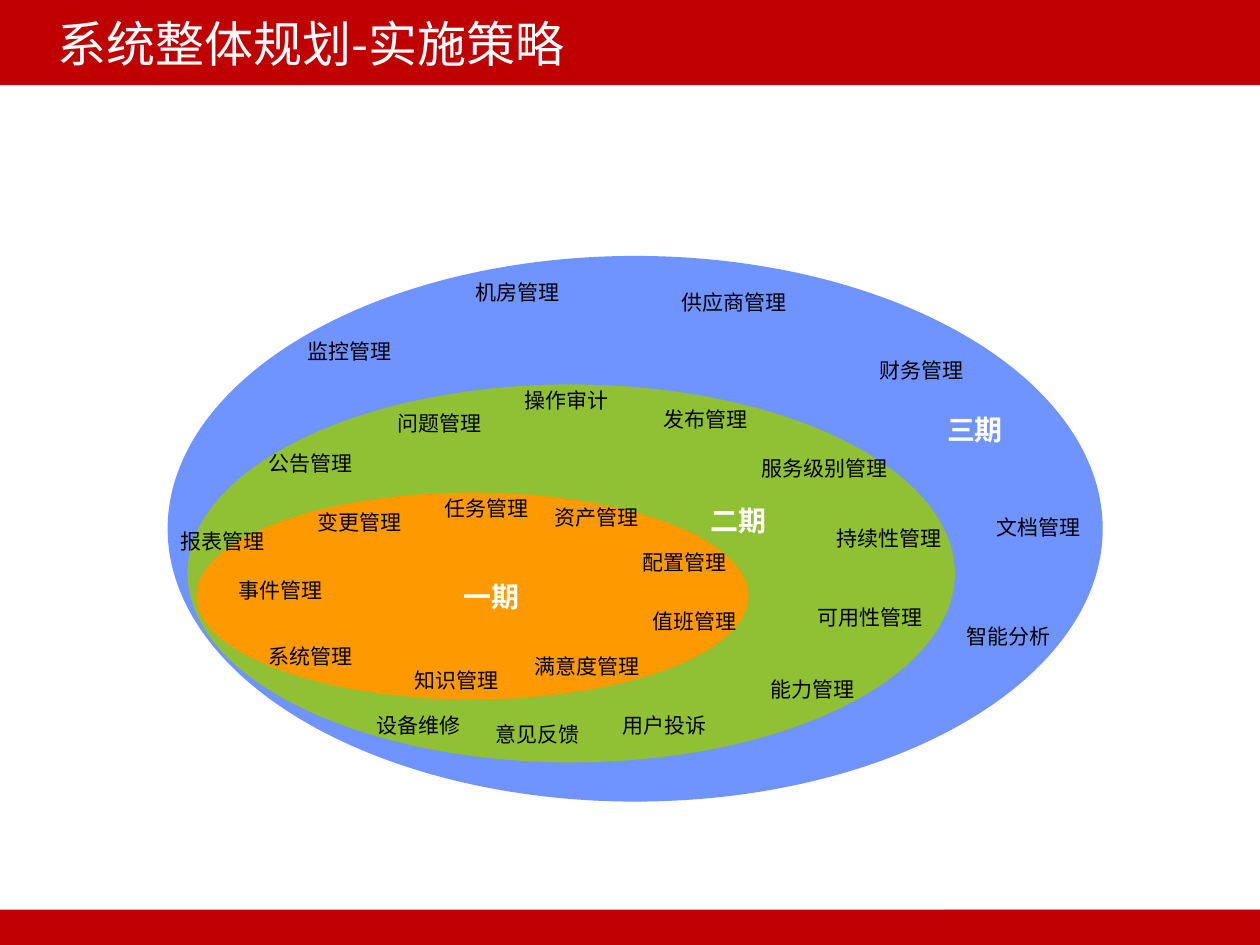
from dataclasses import dataclass

from lxml.etree import SubElement
from pptx import Presentation
from pptx.dml.color import RGBColor
from pptx.enum.shapes import MSO_SHAPE
from pptx.enum.text import MSO_ANCHOR, MSO_AUTO_SIZE, PP_ALIGN
from pptx.oxml.ns import qn
from pptx.util import Cm, Pt


@dataclass(frozen=True)
class Theme:
    font: str = "Noto Sans CJK SC"
    bar: str = "C00000"
    light: str = "FFFFFF"
    dark: str = "000000"
    phase_1: str = "FF9900"
    phase_2: str = "99CC00"
    phase_3: str = "3366FF"
    title_size: int = 28
    phase_size: int = 16
    label_size: int = 12


class SlideBuilder:
    def __init__(self, slide, theme):
        self.slide = slide
        self.theme = theme

    def style(self, p, size, color, bold=False, align=PP_ALIGN.CENTER):
        p.alignment = align
        p.font.size = Pt(size)
        p.font.bold = bold
        p.font.color.rgb = RGBColor.from_string(color)
        p.font.name = self.theme.font
        # East Asian glyphs take their typeface from a separate element
        latin = p.font._element.find(qn("a:latin"))
        ea = SubElement(latin.getparent(), qn("a:ea"), typeface=self.theme.font)
        latin.addnext(ea)

    def shape(self, kind, box, color, opacity=100, rotation=0):
        sp = self.slide.shapes.add_shape(kind, *map(Cm, box))
        sp.rotation = rotation
        sp.shadow.inherit = False
        sp.fill.solid()
        sp.fill.fore_color.rgb = RGBColor.from_string(color)
        sp.line.fill.background()
        if opacity < 100:
            clr = sp.element.spPr.find(qn("a:solidFill")).find(qn("a:srgbClr"))
            SubElement(clr, qn("a:alpha"), val=str(opacity * 1000))

    def title(self, text, box):
        sp = self.slide.shapes.title
        sp.left, sp.top, sp.width, sp.height = map(Cm, box)
        sp.element.getparent().append(sp.element)  # in front of the bars
        tf = sp.text_frame
        tf.text = text
        tf.auto_size = MSO_AUTO_SIZE.NONE
        tf.vertical_anchor = MSO_ANCHOR.MIDDLE
        self.style(tf.paragraphs[0], self.theme.title_size, self.theme.light,
                   align=PP_ALIGN.LEFT)

    def text(self, text, box, size, color, bold=False,
             anchor=MSO_ANCHOR.MIDDLE, wrap=False):
        tf = self.slide.shapes.add_textbox(*map(Cm, box)).text_frame
        tf.text = text
        tf.word_wrap = wrap
        tf.auto_size = MSO_AUTO_SIZE.SHAPE_TO_FIT_TEXT
        tf.vertical_anchor = anchor
        p = tf.paragraphs[0]
        p.line_spacing = 0.9
        self.style(p, size, color, bold)

    def label(self, text, left, top):
        """Add a module name in a box as wide as its characters plus insets."""
        width = 0.42 * len(text) + 0.53
        self.text(text, (left, top, width, 0.71),
                  self.theme.label_size, self.theme.dark)

    def phase(self, text, left, top):
        self.text(text, (left, top, 2.79, 0.89), self.theme.phase_size,
                  self.theme.light, True, MSO_ANCHOR.TOP, True)


PHASES = [("一期", 8.51, 11.63), ("二期", 13.49, 10.11), ("三期", 18.26, 8.26)]

MODULES = [
    # Phase 1
    ("事件管理", 4.55, 11.58), ("变更管理", 6.15, 10.21),
    ("任务管理", 8.71, 9.93), ("资产管理", 10.92, 10.11),
    ("配置管理", 12.7, 11), ("值班管理", 12.9, 12.19),
    ("满意度管理", 10.52, 13.11), ("知识管理", 8.1, 13.39),
    ("系统管理", 5.16, 12.9),
    # Phase 2
    ("报表管理", 3.38, 10.59), ("公告管理", 5.16, 9.02),
    ("问题管理", 7.75, 8.2), ("操作审计", 10.31, 7.75),
    ("发布管理", 13.11, 8.13), ("服务级别管理", 15.09, 9.12),
    ("持续性管理", 16.61, 10.52), ("可用性管理", 16.23, 12.12),
    ("能力管理", 15.27, 13.56), ("用户投诉", 12.29, 14.3),
    ("意见反馈", 9.73, 14.48), ("设备维修", 7.34, 14.3),
    # Phase 3
    ("监控管理", 5.94, 6.76), ("机房管理", 9.32, 5.56),
    ("供应商管理", 13.49, 5.77), ("财务管理", 17.48, 7.14),
    ("文档管理", 19.84, 10.31), ("智能分析", 19.23, 12.5),
]


def main():
    prs = Presentation()
    prs.slide_width, prs.slide_height = Cm(25.4), Cm(19.05)
    theme = Theme()
    s = SlideBuilder(prs.slides.add_slide(prs.slide_layouts[5]), theme)

    s.shape(MSO_SHAPE.RECTANGLE, (0, 0, 25.4, 1.72), theme.bar)
    s.shape(MSO_SHAPE.RECTANGLE, (0, 18.34, 25.4, 0.71), theme.bar)
    s.shape(MSO_SHAPE.PENTAGON, (18.69, 18.34, 6.71, 0.71), theme.bar,
            rotation=180)
    s.title("系统整体规划-实施策略", (0.91, 0, 23.6, 1.72))

    s.shape(MSO_SHAPE.OVAL, (3.38, 5.16, 18.85, 11), theme.phase_3, 70)
    s.shape(MSO_SHAPE.OVAL, (3.78, 7.75, 15.47, 7.62), theme.phase_2, 80)
    s.shape(MSO_SHAPE.OVAL, (3.96, 9.93, 11.13, 4.17), theme.phase_1)
    for phase in PHASES:
        s.phase(*phase)
    for module in MODULES:
        s.label(*module)

    prs.save("out.pptx")


if __name__ == "__main__":
    main()
